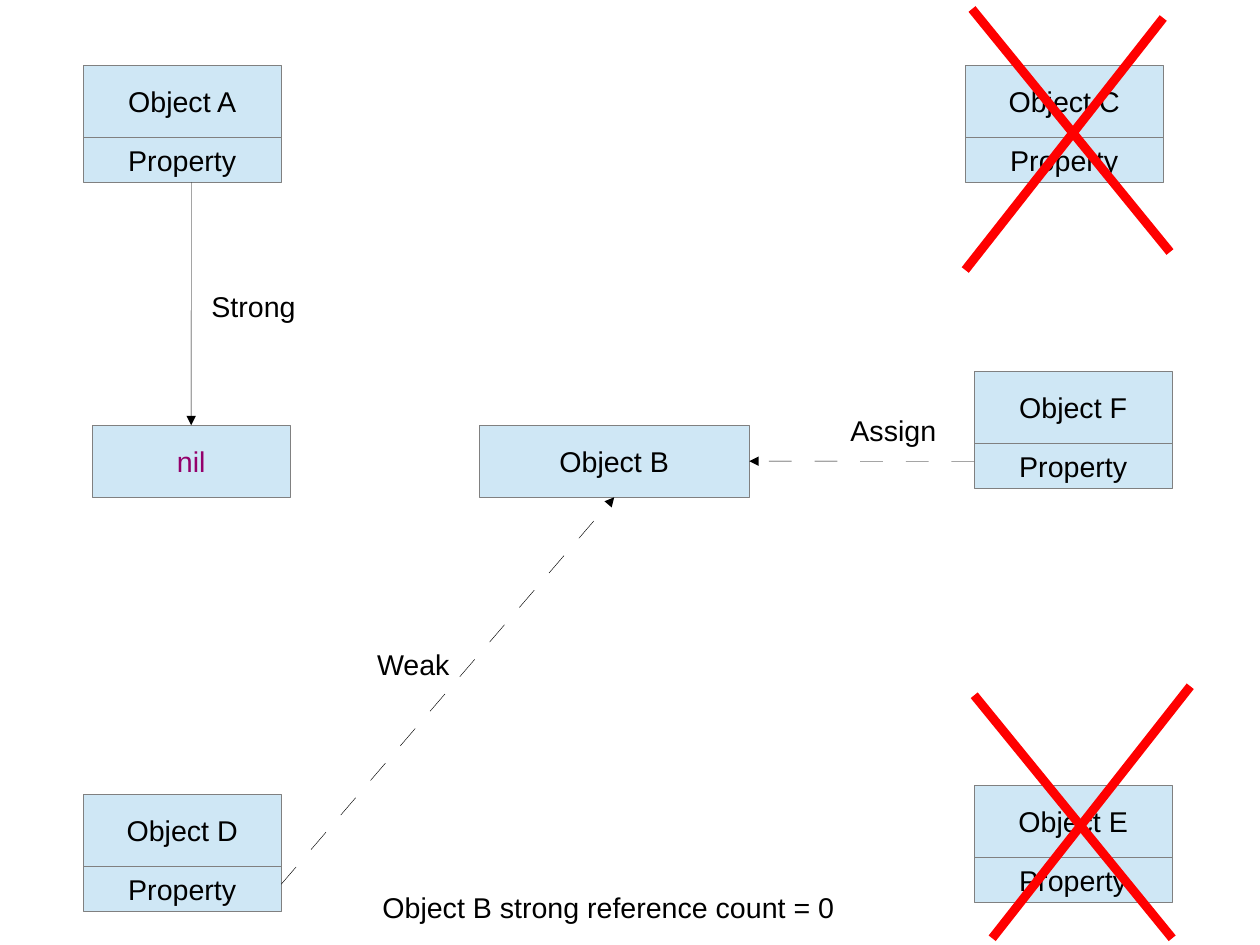
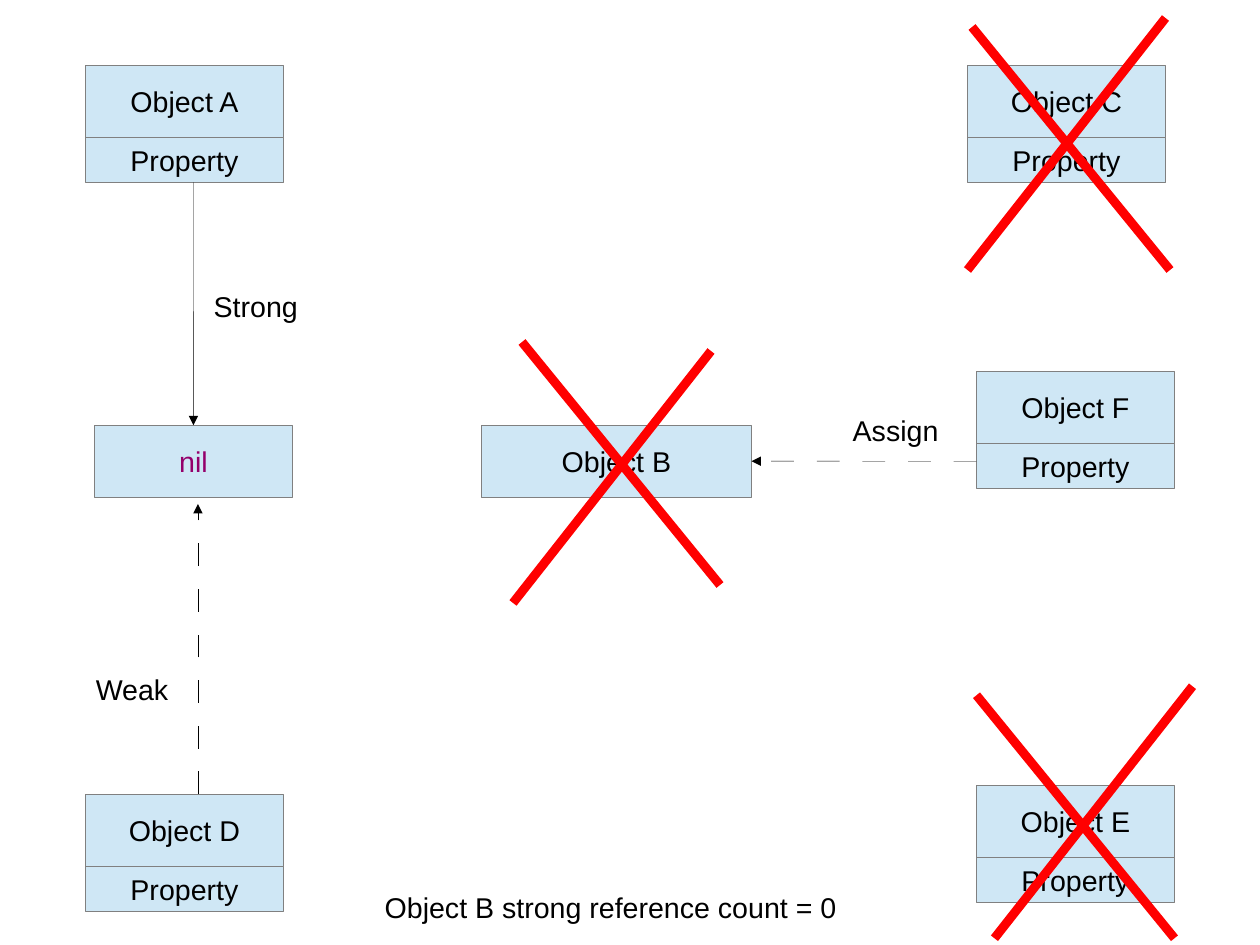
from lxml import etree
from pptx import Presentation
from pptx.dml.color import RGBColor
from pptx.enum import shapes, text
from pptx.oxml.ns import qn
from pptx.util import Cm, Pt

COLORS = {"box": "CFE7F5", "edge": "808080", "ink": "000000", "nil": "94006B", "cross": "FF0000"}
FONT = "Arial"
BOX_W, HEAD_H, PROPERTY_H, LABEL_H = 4.4, 1.6, 1.0, 0.97
CROSS_W, FALL_H, RISE_H = 4.4, 5.4, 5.6
HAIRLINE = 0.01
DASH = "5070000"

OBJECTS = [
    ("Object A", 1.85, 1.45),
    ("Object C", 21.45, 1.45),
    ("Object D", 1.85, 17.65),
    ("Object E", 21.65, 17.45),
    ("Object F", 21.65, 8.25),
]
LABELS = [
    ("Strong", 4.45, 6.3, 2.5),
    ("Assign", 18.65, 9.05, 2.6),
    ("Object B strong reference count = 0", 8.25, 19.65, 10.8),
]
CROSS_E = ((21.65, 15.45), (26.45, 15.25))
PAGES = [
    {
        "shift": 0,
        "weak_label": (8.13, 14.25),
        "weak_line": ((6.25, 19.65), (13.65, 11.05)),
        "weak_joined": True,
        "crosses": [CROSS_E, ((21.6, 0.2), (25.85, 0.4))],
    },
    {
        "shift": 0.05,
        "weak_label": (1.83, 14.8),
        "weak_line": ((4.35, 17.65), (4.35, 11.2)),
        "weak_joined": False,
        "crosses": [CROSS_E, ((21.55, 0.6), (25.85, 0.4)), ((11.55, 7.6), (15.75, 7.8))],
    },
]


def add_text_box(page, words, left, top, width, height, filled=True, color="ink"):
    area = [Cm(value) for value in (left, top, width, height)]
    if filled:
        box = page.shapes.add_shape(shapes.MSO_SHAPE.RECTANGLE, *area)
        box.shadow.inherit = False
        box.fill.solid()
        box.fill.fore_color.rgb = RGBColor.from_string(COLORS["box"])
        box.line.color.rgb = RGBColor.from_string(COLORS["edge"])
        box.line.width = Cm(HAIRLINE)
        box.text_frame.vertical_anchor = text.MSO_ANCHOR.MIDDLE
    else:
        box = page.shapes.add_textbox(*area)
        box.text_frame.auto_size = text.MSO_AUTO_SIZE.SHAPE_TO_FIT_TEXT
    box.text_frame.word_wrap = True
    para = box.text_frame.paragraphs[0]
    para.alignment = text.PP_ALIGN.CENTER if filled else text.PP_ALIGN.LEFT
    span = para.add_run()
    span.text = words
    span.font.name = FONT
    span.font.size = Pt(18)
    span.font.color.rgb = RGBColor.from_string(COLORS[color])
    return box


def add_line(page, start, end, shift, color="ink", width=HAIRLINE, arrow=False, dashed=False):
    line = page.shapes.add_connector(
        shapes.MSO_CONNECTOR.STRAIGHT,
        Cm(start[0] + shift), Cm(start[1]), Cm(end[0] + shift), Cm(end[1]),
    )
    line.line.color.rgb = RGBColor.from_string(COLORS[color])
    line.line.width = Cm(width)
    properties = line.element.spPr
    stroke = properties.find(qn("a:ln"))
    if dashed:
        pattern = etree.SubElement(stroke, qn("a:custDash"))
        etree.SubElement(pattern, qn("a:ds"), d=DASH, sp=DASH)
    if arrow:
        etree.SubElement(stroke, qn("a:tailEnd"), type="triangle")
    etree.SubElement(properties, qn("a:effectLst"))
    return line


deck = Presentation()
deck.slide_width, deck.slide_height = Cm(28), Cm(21)

for plan in PAGES:
    page = deck.slides.add_slide(deck.slide_layouts[6])
    shift = plan["shift"]

    for name, left, top in OBJECTS:
        add_text_box(page, name, left + shift, top, BOX_W, HEAD_H)
        add_text_box(page, "Property", left + shift, top + HEAD_H, BOX_W, PROPERTY_H)
    object_b = add_text_box(page, "Object B", 10.65 + shift, 9.45, 6, HEAD_H)
    nil = add_text_box(page, "nil", 2.05 + shift, 9.45, BOX_W, HEAD_H, color="nil")

    for words, left, top, width in LABELS + [("Weak", *plan["weak_label"], 2.4)]:
        add_text_box(page, words, left + shift, top, width, LABEL_H, filled=False)

    strong = add_line(page, (4.25, 4.05), (4.25, 9.45), shift, arrow=True)
    strong.end_connect(nil, 0)
    assign = add_line(page, (21.65, 10.25), (16.65, 10.25), shift, arrow=True, dashed=True)
    assign.end_connect(object_b, 3)
    weak = add_line(page, *plan["weak_line"], shift, arrow=True, dashed=True)
    if plan["weak_joined"]:
        weak.end_connect(object_b, 2)

    for falling, rising in plan["crosses"]:
        for (x, y), run, drop in ((falling, CROSS_W, FALL_H), (rising, -CROSS_W, RISE_H)):
            add_line(page, (x, y), (x + run, y + drop), shift, color="cross", width=0.2)

deck.save("out.pptx")
